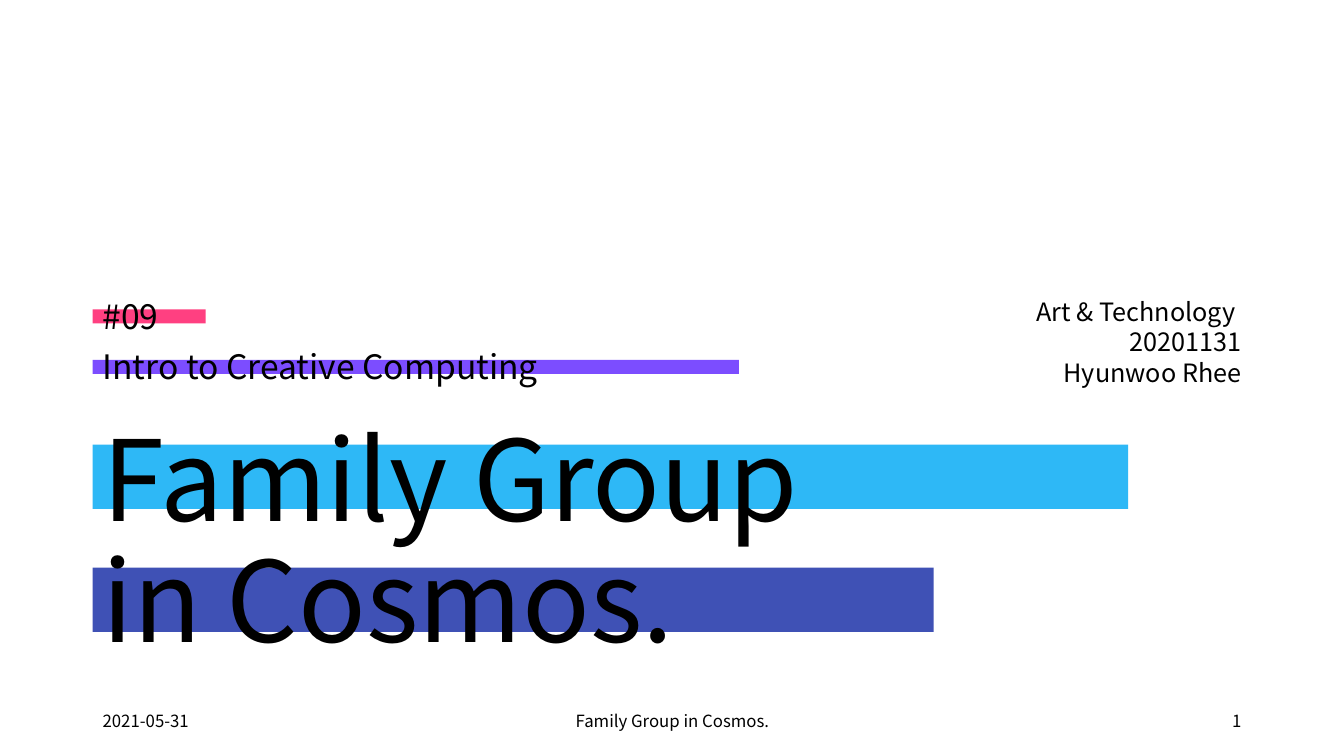
from dataclasses import dataclass

from pptx import Presentation
from pptx.dml.color import RGBColor
from pptx.enum.shapes import MSO_SHAPE as Shape
from pptx.enum.text import MSO_ANCHOR as Anchor, PP_ALIGN as Align
from pptx.slide import Slide
from pptx.util import Inches, Pt

WIDTH, HEIGHT = Inches(13.33), Inches(7.5)
FONT = "Noto Sans CJK KR"
MARGIN = 6.9
CONTENT = 100 - 2 * MARGIN
FOOTER_TOP, FOOTER_HEIGHT, FOOTER_SIDE = 92.67, 5.33, 22.5


@dataclass(frozen=True)
class Area:
    """A rectangle in percent of the slide's width and height."""
    left: float
    top: float
    width: float
    height: float

    def lengths(self) -> tuple[int, int, int, int]:
        """Return left, top, width and height as slide lengths."""
        return (round(WIDTH * self.left / 100), round(HEIGHT * self.top / 100),
                round(WIDTH * self.width / 100), round(HEIGHT * self.height / 100))


@dataclass(frozen=True)
class Bar:
    """A coloured highlight that starts at the left margin."""
    top: float
    width: float
    height: float
    color: str


@dataclass(frozen=True)
class Label:
    """A text box; each paragraph is a tuple of lines."""
    area: Area
    paragraphs: tuple[tuple[str, ...], ...]
    size: float
    align: Align = Align.LEFT
    anchor: Anchor = Anchor.MIDDLE
    line_spacing: float = 1.0
    gap: float = 0


BARS = (
    Bar(47.6, 48.09, 1.87, "7C4DFF"),
    Bar(40.93, 8.4, 1.87, "FF4081"),
    Bar(75.07, 62.57, 8.53, "3F51B5"),
    Bar(58.8, 77.04, 8.53, "2EB8F6"),
)

LABELS = (
    Label(Area(MARGIN, 54.13, CONTENT, 34.67), (("Family Group", "in Cosmos."),),
          80, anchor=Anchor.BOTTOM, line_spacing=0.9),
    Label(Area(MARGIN, 38.53, CONTENT, 13.33),
          (("#09",), ("Intro to Creative Computing",)),
          24, anchor=Anchor.BOTTOM, line_spacing=0.9, gap=10),
    Label(Area(69.39, 38.4, 23.71, 13.47),
          (("Art & Technology ",), ("20201131",), ("Hyunwoo Rhee",)),
          18, Align.RIGHT, Anchor.BOTTOM),
    Label(Area(MARGIN, FOOTER_TOP, FOOTER_SIDE, FOOTER_HEIGHT), (("2021-05-31",),), 12),
    Label(Area(33.16, FOOTER_TOP, 33.76, FOOTER_HEIGHT),
          (("Family Group in Cosmos.",),), 12, Align.CENTER),
    Label(Area(100 - MARGIN - FOOTER_SIDE, FOOTER_TOP, FOOTER_SIDE, FOOTER_HEIGHT),
          (("1",),), 12, Align.RIGHT),
)


def rgb(color: str) -> RGBColor:
    """Turn a hex string into a colour."""
    return RGBColor.from_string(color)


def draw_bar(slide: Slide, bar: Bar) -> None:
    """Draw one highlight bar."""
    area = Area(MARGIN, bar.top, bar.width, bar.height)
    shape = slide.shapes.add_shape(Shape.RECTANGLE, *area.lengths())
    shape.shadow.inherit = False
    shape.fill.solid()
    shape.fill.fore_color.rgb = rgb(bar.color)
    shape.line.fill.background()


def draw_label(slide: Slide, label: Label) -> None:
    """Draw one text box run by run."""
    frame = slide.shapes.add_textbox(*label.area.lengths()).text_frame
    frame.word_wrap = True
    frame.vertical_anchor = label.anchor
    for index, lines in enumerate(label.paragraphs):
        paragraph = frame.add_paragraph() if index else frame.paragraphs[0]
        paragraph.alignment = label.align
        paragraph.line_spacing = label.line_spacing
        if index:
            paragraph.space_before = Pt(label.gap)
        for number, line in enumerate(lines):
            if number:
                paragraph.add_line_break()
            run = paragraph.add_run()
            run.text = line
            run.font.name = FONT
            run.font.size = Pt(label.size)
            run.font.color.rgb = rgb("000000")


def main() -> None:
    """Build the title slide and save it."""
    presentation = Presentation()
    presentation.slide_width, presentation.slide_height = WIDTH, HEIGHT
    slide = presentation.slides.add_slide(presentation.slide_layouts[6])
    for bar in BARS:
        draw_bar(slide, bar)
    for label in LABELS:
        draw_label(slide, label)
    presentation.save("out.pptx")


if __name__ == "__main__":
    main()
